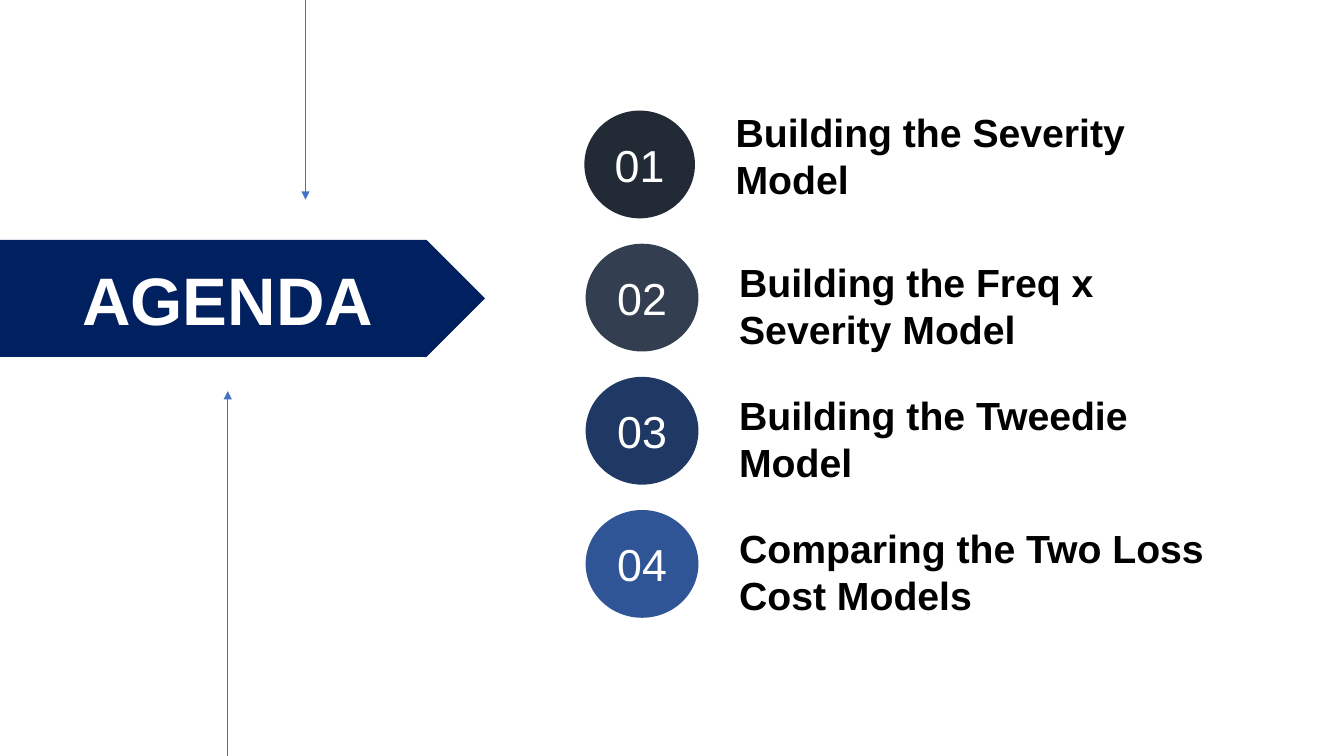
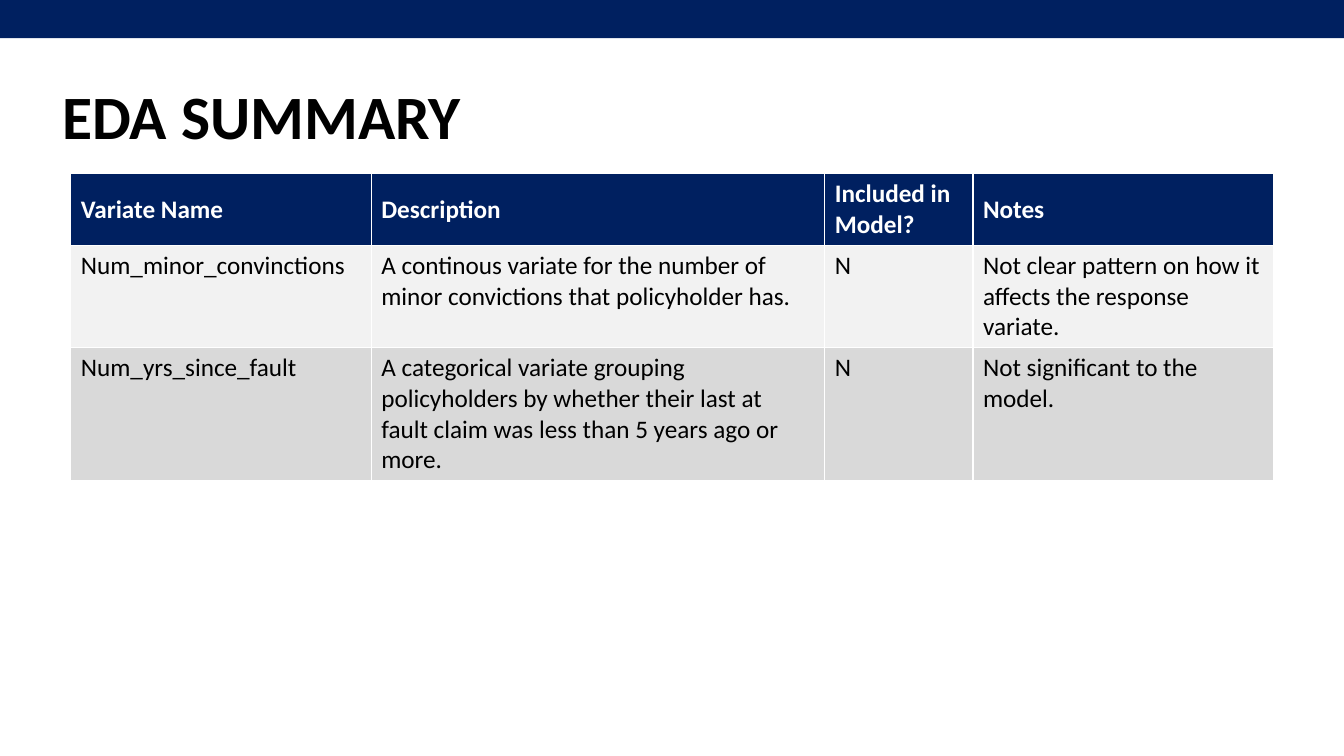
from lxml import etree
from pptx import Presentation
from pptx.dml.color import RGBColor
from pptx.enum.shapes import MSO_CONNECTOR as Connector, MSO_SHAPE as Shape
from pptx.enum.text import MSO_ANCHOR as Anchor, MSO_AUTO_SIZE as AutoSize, PP_ALIGN as Align
from pptx.oxml.ns import qn
from pptx.util import Pt

COLORS = {
    "navy": "002060", "white": "FFFFFF", "black": "000000", "arrow": "4472C4",
    "light": "F2F2F2", "gray": "D9D9D9",
    "step1": "222A35", "step2": "333F50", "step3": "203864", "step4": "2F5597",
}
FONTS = {
    "banner": {"name": "Arial", "size": Pt(48), "bold": True},
    "number": {"name": "Arial", "size": Pt(32), "bold": False},
    "topic": {"name": "Arial", "size": Pt(28), "bold": True},
    "title": {"name": "Calibri", "size": Pt(44), "bold": True},
    "header": {"name": "Calibri", "size": Pt(18), "bold": True},
    "body": {"name": "Calibri", "size": Pt(18), "bold": False},
}


def write(frame, text, style, color, align=Align.LEFT):
    """Put one formatted paragraph into a text frame and return it."""
    para = frame.paragraphs[0]
    para.alignment = align
    span = para.add_run()
    span.text = text
    for name, value in FONTS[style].items():
        setattr(span.font, name, value)
    span.font.color.rgb = RGBColor.from_string(COLORS[color])
    return para


def add_filled(shapes, kind, left, top, width, height, color):
    shape = shapes.add_shape(kind, Pt(left), Pt(top), Pt(width), Pt(height))
    shape.shadow.inherit = False
    shape.fill.solid()
    shape.fill.fore_color.rgb = RGBColor.from_string(COLORS[color])
    shape.line.fill.background()
    shape.text_frame.vertical_anchor = Anchor.MIDDLE
    return shape


deck = Presentation()
deck.slide_width, deck.slide_height = Pt(960), Pt(540)
title_only, blank = deck.slide_layouts[5], deck.slide_layouts[6]

# Agenda
page = deck.slides.add_slide(blank)
banner = add_filled(page.shapes, Shape.PENTAGON, 0, 171.4, 346.4, 83.5, "navy")
write(banner.text_frame, "AGENDA", "banner", "white", Align.CENTER)

# Topic, circle left and width, label left, width and drop below the circle's top
topics = [
    ("Building the Severity Model", 417.4, 79, 518.4, 369.4, -5),
    ("Building the Freq x Severity Model", 418.3, 80.6, 520.9, 366.5, 6.7),
    ("Building the Tweedie Model", 418.3, 80.6, 520.9, 366.5, 6.7),
    ("Comparing the Two Loss Cost Models", 418.3, 80.6, 520.9, 366.5, 6.7),
]
first_top, pitch = 79, 95.1
for index, (topic, left, width, label_left, label_width, drop) in enumerate(topics):
    top = first_top + index * pitch
    group = page.shapes.add_group_shape().shapes
    circle = add_filled(group, Shape.OVAL, left, top, width, 77, f"step{index + 1}")
    write(circle.text_frame, f"{index + 1:02}", "number", "white", Align.CENTER)
    label = group.add_textbox(Pt(label_left), Pt(top + drop), Pt(label_width), Pt(75))
    label.text_frame.word_wrap = True
    label.text_frame.auto_size = AutoSize.SHAPE_TO_FIT_TEXT
    write(label.text_frame, topic, "topic", "black")

for x, start, end in [(218.2, 0, 142.6), (162.7, 540, 279.4)]:
    arrow = page.shapes.add_connector(Connector.STRAIGHT, Pt(x), Pt(start), Pt(x), Pt(end))
    arrow.line.width = Pt(0.5)
    arrow.line.color.rgb = RGBColor.from_string(COLORS["arrow"])
    etree.SubElement(arrow.line._get_or_add_ln(), qn("a:tailEnd"), type="triangle")
    etree.SubElement(arrow._element.spPr, qn("a:effectLst"))

# EDA summary
page = deck.slides.add_slide(title_only)
title = page.shapes.title
title.left, title.top, title.width, title.height = Pt(37.4), Pt(28.8), Pt(651), Pt(113.8)
title.text_frame.auto_size = AutoSize.NONE
title.text_frame.vertical_anchor = Anchor.MIDDLE
write(title.text_frame, "EDA SUMMARY", "title", "black").line_spacing = 0.9

rows = [
    ("Variate Name", "Description", "Included in Model?", "Notes"),
    ("Num_minor_convinctions",
     "A continous variate for the number of minor convictions that policyholder has.",
     "N", "Not clear pattern on how it affects the response variate."),
    ("Num_yrs_since_fault",
     "A categorical variate grouping policyholders by whether their last at fault claim "
     "was less than 5 years ago or more.",
     "N", "Not significant to the model."),
]
row_styles = [
    ("header", "white", "navy", Anchor.MIDDLE),
    ("body", "black", "light", Anchor.TOP),
    ("body", "black", "gray", Anchor.TOP),
]
widths, heights = [214.6, 324, 105.8, 214.6], [51, 73, 95]
table = page.shapes.add_table(len(rows), len(widths), Pt(50.6), Pt(124),
                              Pt(sum(widths)), Pt(sum(heights))).table
for column, width in zip(table.columns, widths):
    column.width = Pt(width)
for row, height, texts, (style, color, fill, anchor) in zip(table.rows, heights, rows, row_styles):
    row.height = Pt(height)
    for cell, text in zip(row.cells, texts):
        write(cell.text_frame, text, style, color)
        cell.vertical_anchor = anchor
        cell.fill.solid()
        cell.fill.fore_color.rgb = RGBColor.from_string(COLORS[fill])
        properties = cell._tc.get_or_add_tcPr()
        for position, side in enumerate(("lnL", "lnR", "lnT", "lnB")):
            border = etree.Element(qn(f"a:{side}"), w=str(Pt(1)))
            paint = etree.SubElement(border, qn("a:solidFill"))
            etree.SubElement(paint, qn("a:srgbClr"), val=COLORS["white"])
            properties.insert(position, border)

add_filled(page.shapes, Shape.RECTANGLE, 0, 0, 960, 27.2, "navy")

deck.save("out.pptx")
